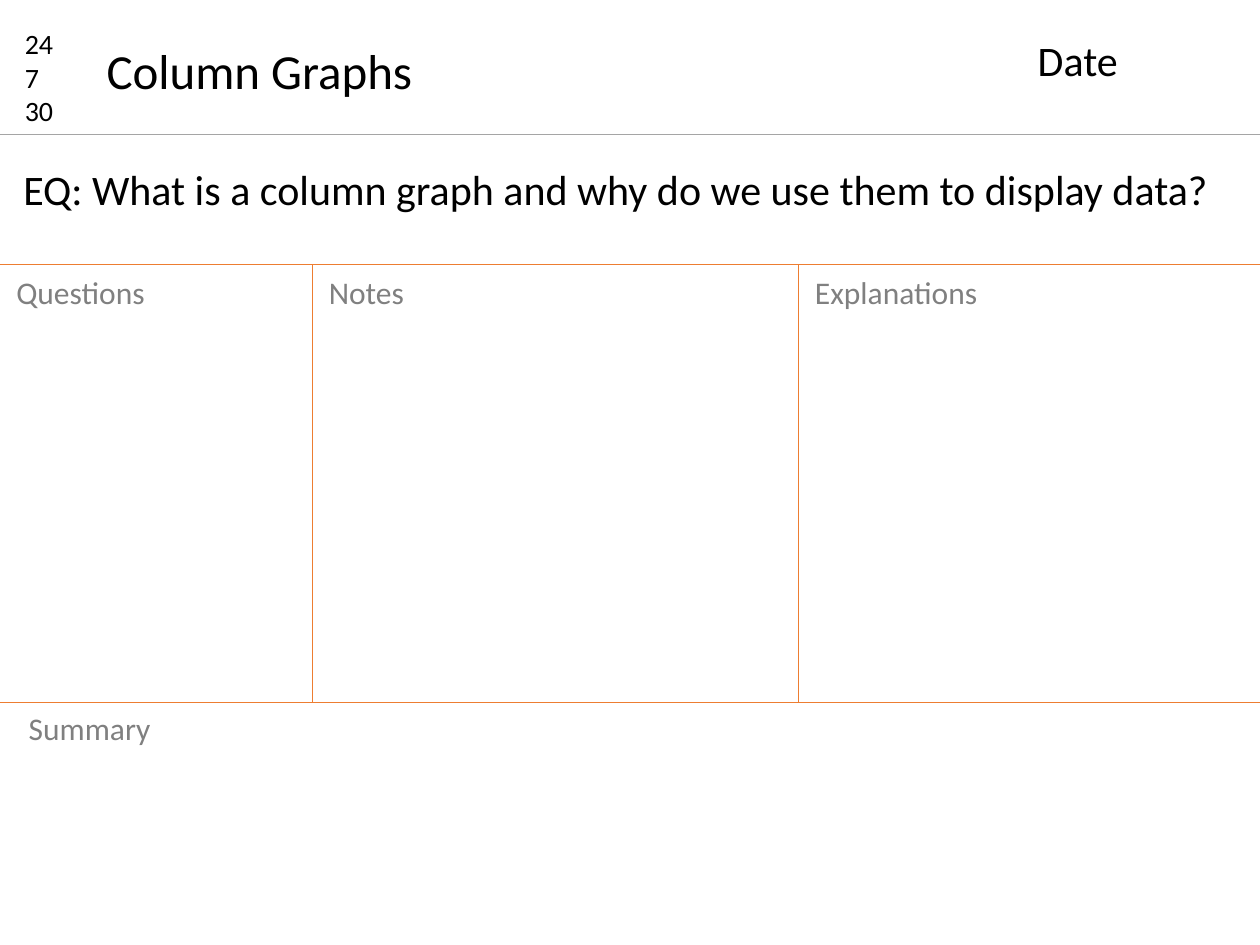
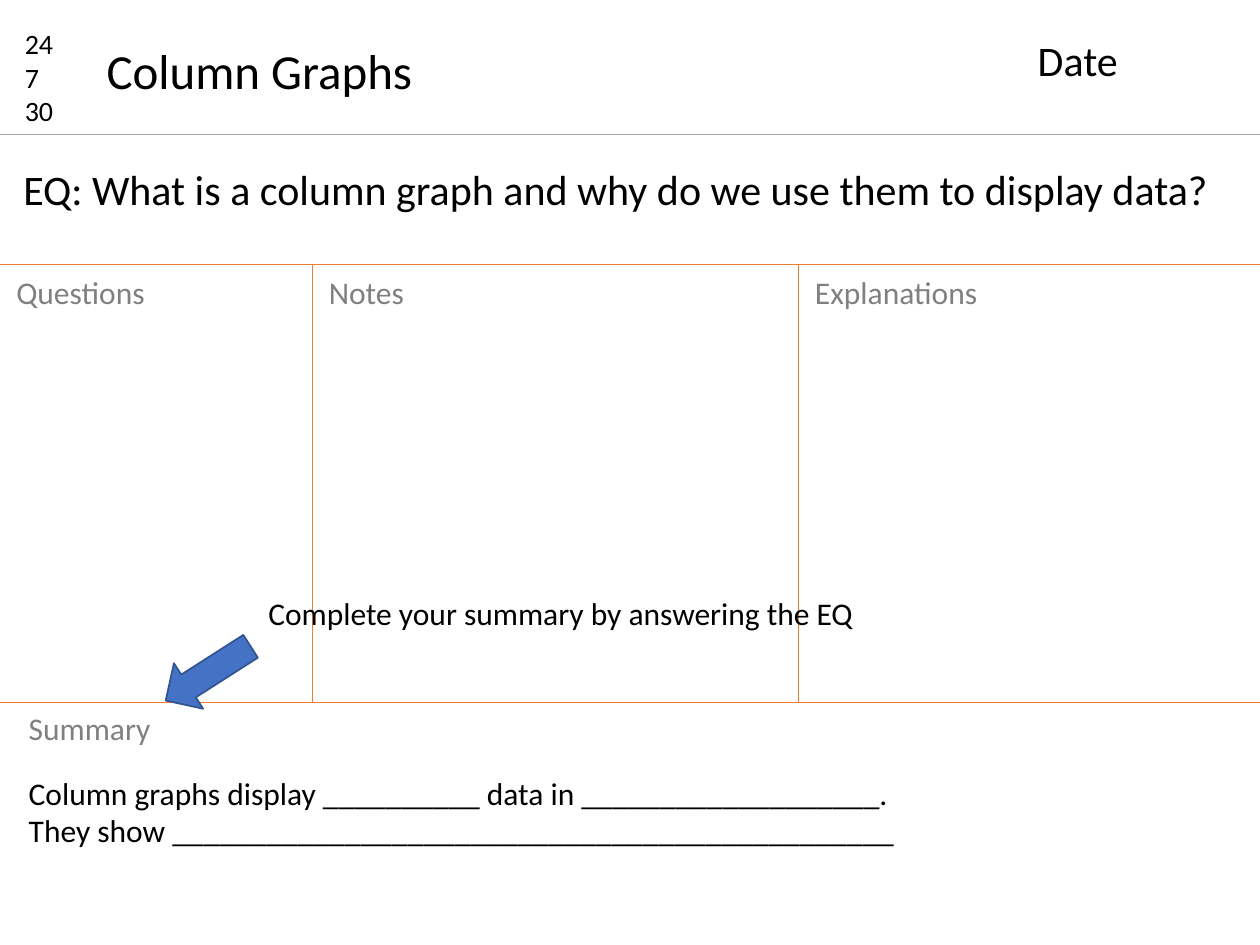
from dataclasses import dataclass

from lxml.etree import SubElement
from pptx import Presentation
from pptx.dml.color import RGBColor
from pptx.enum.shapes import MSO_CONNECTOR, MSO_SHAPE
from pptx.enum.text import MSO_AUTO_SIZE
from pptx.oxml.ns import qn
from pptx.util import Cm, Pt


@dataclass(frozen=True)
class Theme:
    font: str = "Calibri"
    ink: RGBColor = RGBColor(0x00, 0x00, 0x00)
    label: RGBColor = RGBColor(0x80, 0x80, 0x80)
    header_rule: RGBColor = RGBColor(0xA5, 0xA5, 0xA5)
    grid_rule: RGBColor = RGBColor(0xED, 0x7D, 0x31)
    arrow_fill: RGBColor = RGBColor(0x44, 0x72, 0xC4)
    arrow_line: RGBColor = RGBColor(0x32, 0x54, 0x91)
    title_size: Pt = Pt(28)
    heading_size: Pt = Pt(24)
    body_size: Pt = Pt(18)
    code_size: Pt = Pt(16)
    rule_width: Pt = Pt(0.5)
    arrow_width: Pt = Pt(1)


theme = Theme()


def add_text(page, place, lines, size, color=theme.ink, wrap=False):
    box = page.shapes.add_textbox(*[Cm(length) for length in place])
    frame_format = {"word_wrap": wrap, "auto_size": MSO_AUTO_SIZE.SHAPE_TO_FIT_TEXT}
    for name, value in frame_format.items():
        setattr(box.text_frame, name, value)
    for index, line in enumerate(lines):
        para = box.text_frame.paragraphs[0] if index == 0 else box.text_frame.add_paragraph()
        span = para.add_run()
        span.text = line
        for name, value in {"name": theme.font, "size": size}.items():
            setattr(span.font, name, value)
        span.font.color.rgb = color


def add_rule(page, ends, color):
    rule = page.shapes.add_connector(MSO_CONNECTOR.STRAIGHT, *[Cm(length) for length in ends])
    rule.line.color.rgb = color
    rule.line.width = theme.rule_width
    SubElement(rule._element.spPr, qn("a:effectLst"))


page_width = 25.4
header_bottom, grid_top, grid_bottom = 2.72, 5.33, 14.17
columns = [("Questions", 0, 3.12), ("Notes", 6.3, 2.03), ("Explanations", 16.1, 3.81)]

deck = Presentation()
deck.slide_width, deck.slide_height = Cm(page_width), Cm(19.05)
pages = [deck.slides.add_slide(deck.slide_layouts[6]) for _ in range(2)]

for page in pages:
    add_rule(page, (0, header_bottom, page_width, header_bottom), theme.header_rule)
    for height in (grid_top, grid_bottom):
        add_rule(page, (0, height, page_width, height), theme.grid_rule)

    add_text(page, (0.25, 0.41, 1.6, 2.31), ["24", "7", "30"], theme.code_size, wrap=True)
    add_text(page, (1.9, 0.69, 6.76, 1.45), ["Column Graphs"], theme.title_size)
    add_text(page, (20.67, 0.58, 4.39, 1.27), ["Date"], theme.heading_size, wrap=True)
    question = "EQ: What is a column graph and why do we use them to display data?"
    add_text(page, (0.22, 3.18, 24.82, 1.27), [question], theme.heading_size, wrap=True)

    for heading, left, width in columns:
        if left:
            add_rule(page, (left, grid_top, left, grid_bottom), theme.grid_rule)
        add_text(page, (left + 0.08, grid_top + 0.05, width, 1.02), [heading],
                 theme.body_size, theme.label)
    add_text(page, (0.33, grid_bottom, 3, 1.02), ["Summary"], theme.body_size, theme.label)

summary_page = pages[1]
arrow = summary_page.shapes.add_shape(
    MSO_SHAPE.RIGHT_ARROW, Cm(3.18), Cm(13.03), Cm(2.03), Cm(1.09))
arrow.rotation = 147.4
arrow.shadow.inherit = False
arrow.fill.solid()
arrow.fill.fore_color.rgb = theme.arrow_fill
arrow.line.color.rgb = theme.arrow_line
arrow.line.width = theme.arrow_width

add_text(summary_page, (5.16, 11.86, 12.45, 1.02),
         ["Complete your summary by answering the EQ"], theme.body_size)
add_text(summary_page, (0.33, 15.47, 18.21, 1.8),
         ["Column graphs display __________ data in ___________________.",
          "They show ______________________________________________"], theme.body_size)

deck.save("out.pptx")
